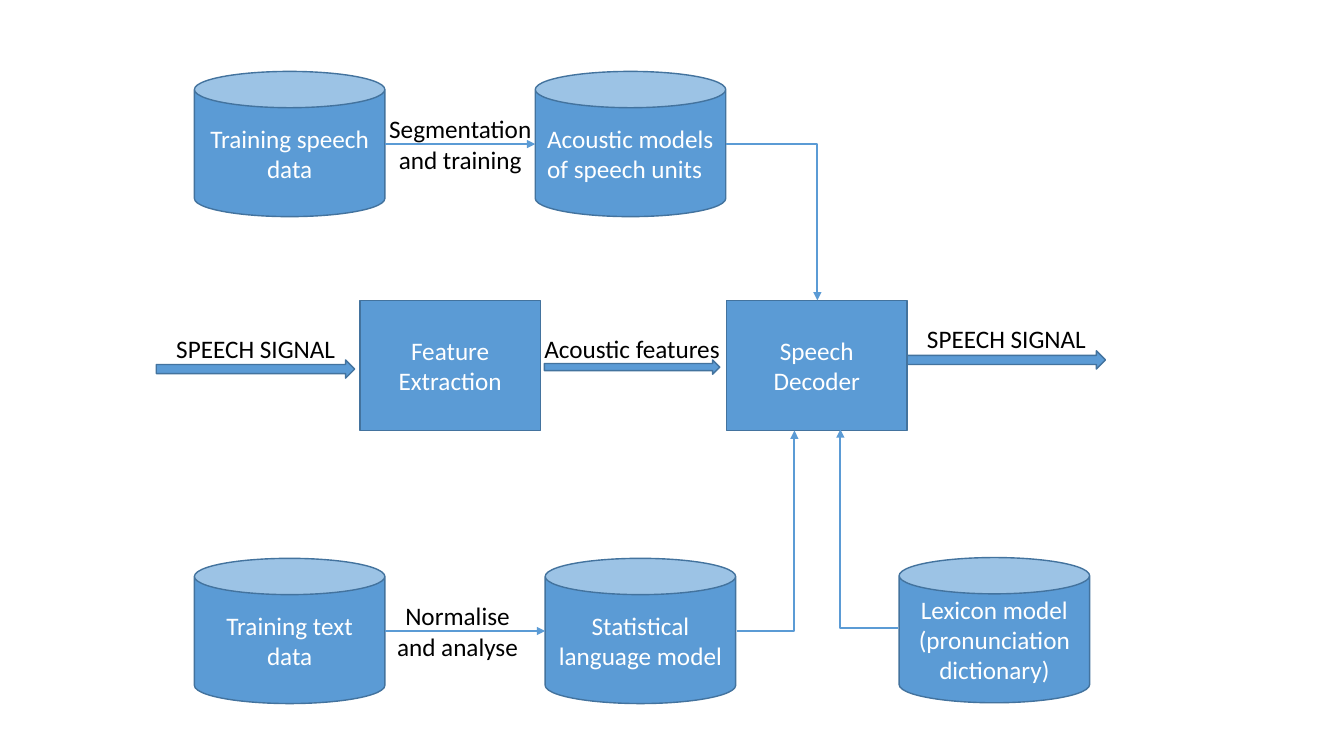
"""Build a slide with the block diagram of a speech recogniser."""
import dataclasses

import lxml.etree
import pptx
import pptx.dml.color
import pptx.enum.shapes
import pptx.enum.text
import pptx.oxml.ns
import pptx.util

Cm = pptx.util.Cm
Pt = pptx.util.Pt
Color = pptx.dml.color.RGBColor.from_string
Kind = pptx.enum.shapes.MSO_SHAPE
Link = pptx.enum.shapes.MSO_CONNECTOR
Align = pptx.enum.text.PP_ALIGN
Anchor = pptx.enum.text.MSO_ANCHOR
Fit = pptx.enum.text.MSO_AUTO_SIZE
qn = pptx.oxml.ns.qn


@dataclasses.dataclass(frozen=True)
class Theme:
    fill = Color("5B9BD5")
    edge = Color("43739E")
    light = Color("FFFFFF")
    dark = Color("000000")
    font = "Calibri"
    size = Pt(18)
    thin = Pt(1)
    thick = Pt(1.5)


theme = Theme()


def write(shape, text, color=theme.light, align=Align.CENTER, anchor=Anchor.MIDDLE,
          wrap=True, fit=Fit.NONE, inset=0.25):
    frame = shape.text_frame
    frame.text = text
    frame.word_wrap = wrap
    frame.auto_size = fit
    frame.vertical_anchor = anchor
    frame.margin_left = Cm(inset)
    for para in frame.paragraphs:
        para.alignment = align
        para.font.name = theme.font
        para.font.size = theme.size
        para.font.color.rgb = color


def draw(kind, left, top, width, height):
    shape = slide.shapes.add_shape(kind, Cm(left), Cm(top), Cm(width), Cm(height))
    shape.shadow.inherit = False
    shape.fill.solid()
    shape.fill.fore_color.rgb = theme.fill
    shape.line.color.rgb = theme.edge
    shape.line.width = theme.thin
    return shape


deck = pptx.Presentation()
deck.slide_width = Cm(33.87)
deck.slide_height = Cm(19.05)
slide = deck.slides.add_slide(deck.slide_layouts[6])

steps = [("Feature Extraction", 9.07), ("Speech Decoder", 18.31)]
for text, left in steps:
    write(draw(Kind.RECTANGLE, left, 7.57, 4.55, 3.28), text)

stores = [
    ("Training text data", 4.9, 14.07, {}),
    ("Training speech data", 4.9, 1.8, {}),
    ("Acoustic models of speech units", 13.49, 1.8, {"align": Align.LEFT, "inset": 0.3}),
    ("Statistical language model", 13.74, 14.07, {}),
    ("Lexicon model (pronunciation dictionary)", 22.66, 14.05, {}),
]
for text, left, top, style in stores:
    write(draw(Kind.CAN, left, top, 4.8, 3.66), text, **style)

flows = [
    (3.94, 9.07, 5, 0.46),
    (13.72, 9.07, 4.42, 0.36),
    (22.86, 8.84, 5, 0.46),
]
for place in flows:
    draw(Kind.RIGHT_ARROW, *place)

labels = [
    ("Segmentation\nand training", 9.53, 2.74, 4.14, 1.8),
    ("SPEECH SIGNAL", 4.17, 8.28, 4.55, 1.02),
    ("Acoustic features", 13.44, 8.28, 4.98, 1.02),
    ("SPEECH SIGNAL", 23.09, 8.03, 4.55, 1.02),
    ("Normalise\nand analyse", 9.7, 15.01, 3.66, 1.8),
]
for text, *place in labels:
    box = slide.shapes.add_textbox(*map(Cm, place))
    write(box, text, color=theme.dark, anchor=Anchor.TOP, wrap=False,
          fit=Fit.SHAPE_TO_FIT_TEXT)

links = [
    (9.7, 3.63, 13.49, 3.63),
    (9.7, 15.9, 13.74, 15.9),
    (18.57, 15.9, 20.02, 10.85),
    (22.63, 15.82, 21.18, 10.82),
    (18.29, 3.63, 20.6, 7.57),
]
for ends in links:
    bent = ends[1] != ends[3]
    link = slide.shapes.add_connector(Link.ELBOW if bent else Link.STRAIGHT, *map(Cm, ends))
    link.line.color.rgb = theme.fill
    link.line.width = theme.thick
    props = link._element.spPr
    if bent:
        props.find(qn("a:prstGeom")).set("prst", "bentConnector2")
    lxml.etree.SubElement(props.find(qn("a:ln")), qn("a:tailEnd"), type="triangle")
    lxml.etree.SubElement(props, qn("a:effectLst"))

deck.save("out.pptx")
